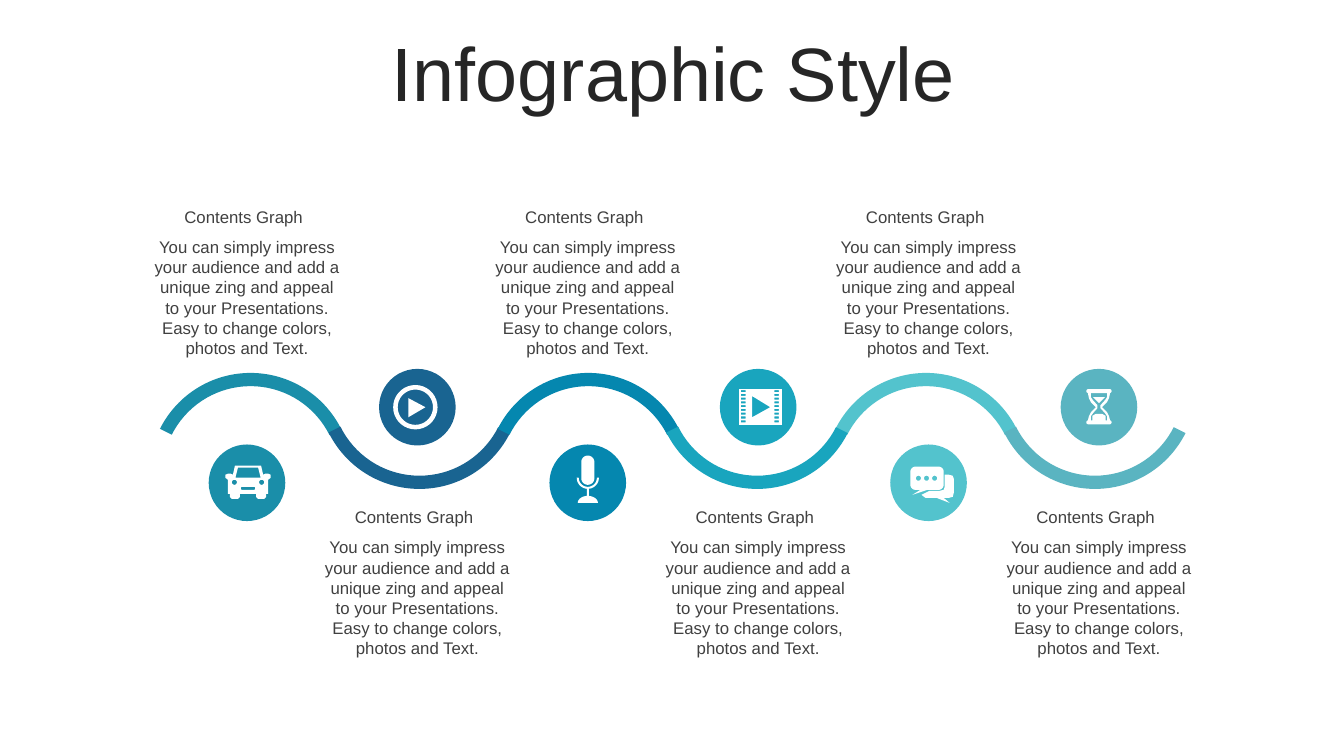
import math
from dataclasses import dataclass

from pptx import Presentation
from pptx import util as u
from pptx.dml.color import RGBColor
from pptx.enum import shapes, text

Point = tuple[float, float]
Contour = list[Point]

WHITE = RGBColor(0xFF, 0xFF, 0xFF)
TITLE_INK = RGBColor(0x26, 0x26, 0x26)
TEXT_INK = RGBColor(0x40, 0x40, 0x40)
TEAL = RGBColor(0x1A, 0x8E, 0xA9)
NAVY = RGBColor(0x19, 0x64, 0x91)
BLUE = RGBColor(0x05, 0x87, 0xAF)
CYAN = RGBColor(0x19, 0xA5, 0xBE)
AQUA = RGBColor(0x53, 0xC3, 0xCD)
MIST = RGBColor(0x5A, 0xB4, 0xC1)

FONT = "Arial"
HEADING = "Contents Graph "
BODY = ("You can simply impress your audience and add a unique zing and appeal "
        "to your Presentations. Easy to change colors, photos and Text.")

# Grid in inches: one column per step of the wave
FIRST_COL, COL_PITCH = 2.45, 1.69
FIRST_ARC, ARC_PITCH = 1.48, 1.675
DISC, ARC, TEXT_W = 0.76, 2.01, 2.05
HEAD_H, BODY_H = 0.3, 1.31


@dataclass(frozen=True)
class Row:
    """Vertical places of a step, and the turn of its arc."""
    text_top: float
    disc_top: float
    arc_top: float
    turn: int


@dataclass(frozen=True)
class Step:
    color: RGBColor
    icon: list[Contour]


CREST = Row(2.0, 4.41, 3.7, 0)
TROUGH = Row(4.98, 3.66, 2.84, 180)


# Contours, in hundredths of an inch from the disc's centre
def curve(cx: float, cy: float, rx: float, ry: float, start: int, end: int) -> Contour:
    step = 10 if end > start else -10
    return [(cx + rx * math.cos(math.radians(a)), cy + ry * math.sin(math.radians(a)))
            for a in range(start, end + step, step)]


def oval(x: float, y: float, w: float, h: float) -> Contour:
    return curve(x + w / 2, y + h / 2, w / 2, h / 2, 0, 350)


def rect(x: float, y: float, w: float, h: float, r: float = 0) -> Contour:
    if not r:
        return [(x, y), (x + w, y), (x + w, y + h), (x, y + h)]
    left, right, top, bottom = x + r, x + w - r, y + r, y + h - r
    corners = [(right, bottom, 0), (left, bottom, 90), (left, top, 180), (right, top, 270)]
    return [pt for cx, cy, a in corners for pt in curve(cx, cy, r, r, a, a + 90)]


def mirror(half: Contour, axis: float = 0) -> Contour:
    return half + [(2 * axis - x, y) for x, y in reversed(half)]


CAR = [
    mirror([(14, -17), (16, -8), (18, -9), (21, -9), (23.5, -8), (23.5, -5), (21, -3),
            (21, 11), (19, 11), (19, 14), (17, 16), (11, 16), (9, 14), (9, 11)], 1),
    mirror([(11, -15), (13.5, -5)], 1),
    oval(-15, -3, 5, 5), oval(12, -3, 5, 5), rect(-6, 4, 14, 3, 1),
]
PLAY = [oval(-24, -22, 44, 44), oval(-19.5, -17.5, 35, 35), [(-9, -9), (8, 0), (-9, 10)]]
MICROPHONE = [
    rect(-6.5, -27, 13, 29, 6.5),
    curve(0, -5, 11, 11, 0, 180) + curve(0, -5, 9, 9, 180, 0),
    rect(-1, 6, 2, 7), curve(0, 20, 10, 7, 180, 360),
]
FILM = [rect(-19, -18, 42.5, 35.5), [(-6, -11), (12, 0), (-6, 10)]] + [
    rect(x, -17 + 3.75 * k, 4.5, 2) for x in (-17, 16) for k in range(9)]
CHAT = [
    rect(-18, -16, 33, 23, 5), [(-8, 7), (-16, 12), (-1, 7)],
    [(16, -8), (20, -8), (24, -7), (25, -4), (25, 10), (24, 14), (20, 15), (15, 15),
     (21, 20), (8, 15), (-3, 15), (-7, 12), (1, 8), (11, 8), (15, 7), (16, 4)],
] + [oval(-12.5 + 8 * k, -7, 5, 5) for k in range(3)]
HOURGLASS = [
    rect(-12.5, -18, 25, 4, 2), rect(-12.5, 13, 25, 4, 2),
    mirror([(11, -14), (10, -9), (8, -5), (3, 0), (8, 5), (10, 9), (11, 13)]),
    mirror([(8, -14), (8, -10), (6, -7), (1.5, -2), (1.5, 1), (6, 6), (8, 9), (8, 13)]),
    [(-6, -10), (6, -10), (0, -4)],
    mirror([(3, 6.5), (6.5, 8.5), (6.5, 13)]),
]

STEPS = [Step(TEAL, CAR), Step(NAVY, PLAY), Step(BLUE, MICROPHONE),
         Step(CYAN, FILM), Step(AQUA, CHAT), Step(MIST, HOURGLASS)]
ARC_ORDER = (0, 1, 4, 2, 3, 5)


def col(i: int) -> float:
    return FIRST_COL + i * COL_PITCH


def row(i: int) -> Row:
    return TROUGH if i % 2 else CREST


def paint(sp, color: RGBColor) -> None:
    sp.fill.solid()
    sp.fill.fore_color.rgb = color
    sp.line.fill.background()
    sp.shadow.inherit = False


def style(p, size: int, color: RGBColor) -> None:
    p.alignment = text.PP_ALIGN.CENTER
    p.font.size, p.font.name = u.Pt(size), FONT
    p.font.color.rgb = color


def add_title(s, words: str) -> None:
    sp = s.shapes.title
    sp.left, sp.top, sp.width, sp.height = map(u.Inches, (0.35, 0.37, 12.66, 0.79))
    tf = sp.text_frame
    tf.text, tf.auto_size = words, text.MSO_AUTO_SIZE.NONE
    tf.vertical_anchor = text.MSO_ANCHOR.MIDDLE
    p = tf.paragraphs[0]
    style(p, 54, TITLE_INK)
    p.line_spacing, p.space_before = 0.9, u.Pt(10)


def add_text(s, words: str, centre: float, top: float, height: float) -> None:
    sp = s.shapes.add_textbox(*map(u.Inches, (centre - TEXT_W / 2, top, TEXT_W, height)))
    tf = sp.text_frame
    tf.word_wrap, tf.auto_size = True, text.MSO_AUTO_SIZE.SHAPE_TO_FIT_TEXT
    tf.text = words
    style(tf.paragraphs[0], 12, TEXT_INK)


def add_disc(s, i: int) -> None:
    sp = s.shapes.add_shape(shapes.MSO_SHAPE.OVAL, *map(
        u.Inches, (col(i) - DISC / 2, row(i).disc_top, DISC, DISC)))
    paint(sp, STEPS[i].color)


def add_arc(s, i: int) -> None:
    sp = s.shapes.add_shape(shapes.MSO_SHAPE.BLOCK_ARC, *map(
        u.Inches, (FIRST_ARC + i * ARC_PITCH, row(i).arc_top, ARC, ARC)))
    for k, value in enumerate((123.99, 200.21, 0.065)):
        sp.adjustments[k] = value
    sp.rotation = row(i).turn
    paint(sp, STEPS[i].color)


def add_icon(s, i: int) -> None:
    cx, cy = col(i), row(i).disc_top + DISC / 2
    contours = [[(u.Inches(cx + x / 100), u.Inches(cy + y / 100)) for x, y in contour]
                for contour in STEPS[i].icon]
    fb = s.shapes.build_freeform(*contours[0][0])
    for contour in contours:
        fb.move_to(*contour[0])
        fb.add_line_segments(contour[1:], close=True)
    paint(fb.convert_to_shape(), WHITE)


def main() -> None:
    prs = Presentation()
    prs.slide_width, prs.slide_height = u.Inches(13.33), u.Inches(7.5)
    s = prs.slides.add_slide(prs.slide_layouts[5])
    add_title(s, "Infographic Style")

    # Discs and their captions
    for i in range(len(STEPS)):
        add_disc(s, i)
        add_text(s, BODY, col(i), row(i).text_top + HEAD_H, BODY_H)
        add_text(s, HEADING, col(i) - 0.01, row(i).text_top, HEAD_H)

    # Wave, then the icons on top
    for i in ARC_ORDER:
        add_arc(s, i)
    for i in range(len(STEPS)):
        add_icon(s, i)

    prs.save("out.pptx")


if __name__ == "__main__":
    main()
